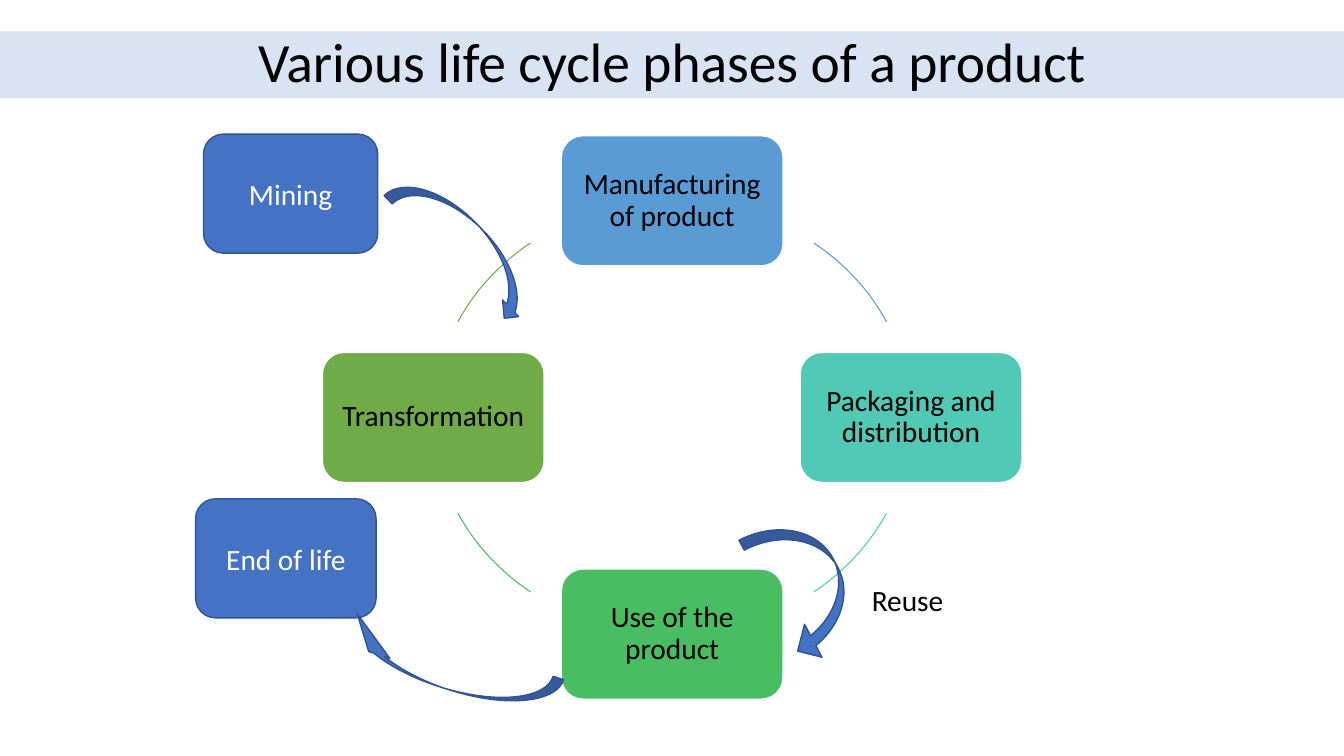
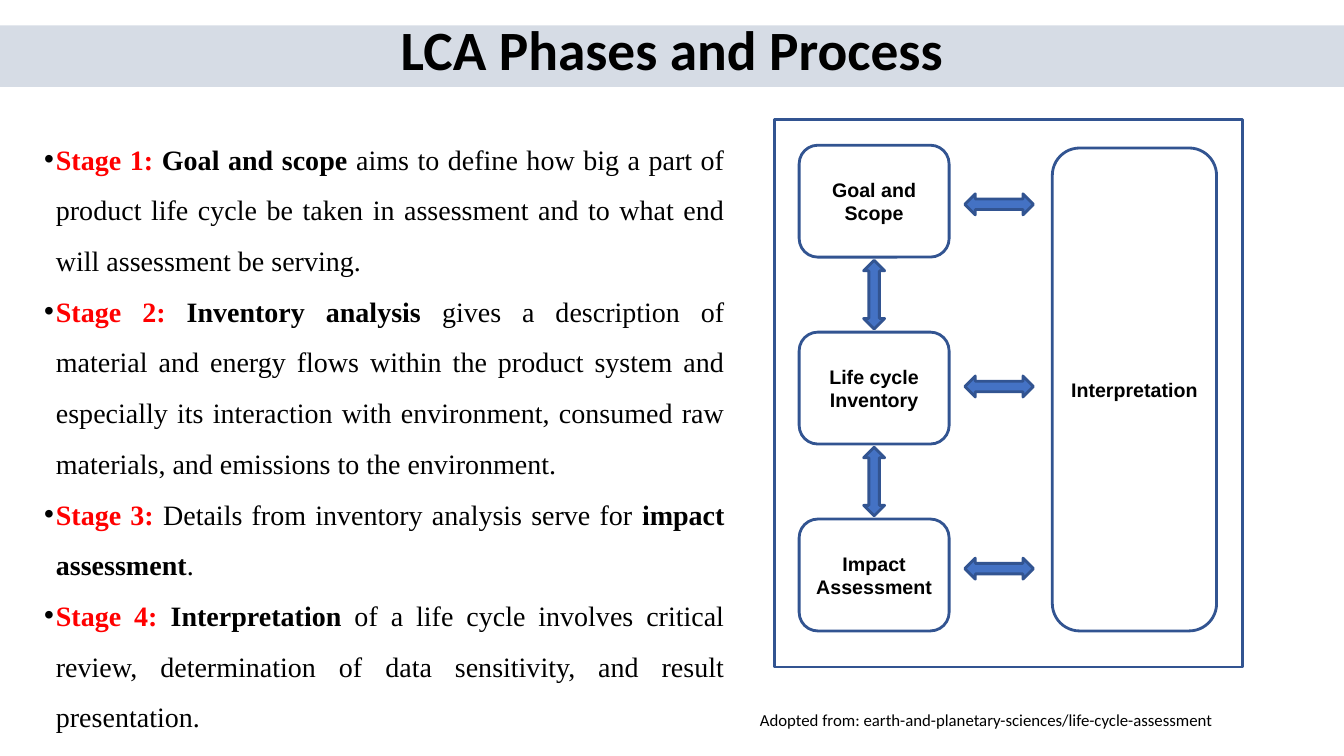
from dataclasses import dataclass
from math import cos, radians, sin
from typing import NamedTuple, Optional

from lxml.etree import SubElement
from pptx import Presentation
from pptx.dml.color import RGBColor
from pptx.enum.shapes import MSO_SHAPE
from pptx.enum.text import MSO_ANCHOR, PP_ALIGN
from pptx.oxml.ns import qn
from pptx.slide import Slide
from pptx.text.text import TextFrame
from pptx.util import Cm, Pt

BLACK = RGBColor(0x00, 0x00, 0x00)
WHITE = RGBColor(0xFF, 0xFF, 0xFF)
RED = RGBColor(0xFF, 0x00, 0x00)
PALE_BLUE = RGBColor(0xDA, 0xE3, 0xF3)
PALE_GRAY = RGBColor(0xD6, 0xDC, 0xE5)
BLUE = RGBColor(0x44, 0x72, 0xC4)
DARK_BLUE = RGBColor(0x31, 0x53, 0x8F)
FRAME_BLUE = RGBColor(0x32, 0x54, 0x91)
SKY = RGBColor(0x59, 0x9B, 0xD5)
TEAL = RGBColor(0x50, 0xC9, 0xB6)
GREEN = RGBColor(0x48, 0xBD, 0x62)
OLIVE = RGBColor(0x6F, 0xAB, 0x46)

SLIDE_WIDTH, SLIDE_HEIGHT = 33.87, 19.05


class TextStyle(NamedTuple):
    font: str
    size: float
    color: RGBColor = BLACK
    bold: bool = False
    spacing: float = 1.0
    inset: float = 0.25
    align: PP_ALIGN = PP_ALIGN.CENTER


TITLE = TextStyle("Calibri", 39.6, spacing=0.9)
BOLD_TITLE = TITLE._replace(bold=True)
PHASE_TEXT = TextStyle("Calibri", 21, spacing=0.9, inset=0.23)
END_TEXT = TextStyle("Calibri", 21, WHITE)
NOTE_TEXT = TextStyle("Calibri", 21, align=PP_ALIGN.LEFT)
SOURCE_TEXT = NOTE_TEXT._replace(size=12)
STEP_TEXT = TextStyle("Arial", 14, bold=True, inset=0.1)
STAGE_TEXT = TextStyle("Times New Roman", 20, spacing=1.51, align=PP_ALIGN.JUSTIFY)


@dataclass
class Block:
    """A preset shape; lengths are in centimetres."""
    preset: MSO_SHAPE
    left: float
    top: float
    width: float
    height: float
    fill: Optional[RGBColor] = None
    line: Optional[RGBColor] = None
    line_width: float = 1
    text: str = ""
    style: TextStyle = TITLE
    rotation: float = 0
    adjustments: tuple[float, ...] = ()


class Phase(NamedTuple):
    """A station of the cycle, with the signs of its offset and of the arc after it."""
    name: str
    color: RGBColor
    offset: tuple[int, int]
    arc: tuple[int, int]


class Stage(NamedTuple):
    label: str
    runs: tuple[tuple[str, bool], ...]


CYCLE_X, CYCLE_Y, RADIUS_X, RADIUS_Y = 16.94, 10.52, 6.02, 5.46
PHASE_WIDTH, PHASE_HEIGHT = 5.59, 3.28
ARC_START, ARC_END, ARC_STEPS = 26.2, 53.6, 24
PHASES = (
    Phase("Manufacturing of product", SKY, (0, -1), (1, -1)),
    Phase("Packaging and distribution", TEAL, (1, 0), (1, 1)),
    Phase("Use of the product", GREEN, (0, 1), (-1, 1)),
    Phase("Transformation", OLIVE, (-1, 0), (-1, -1)),
)
CYCLE_ENDS = (
    Block(MSO_SHAPE.ROUNDED_RECTANGLE, 5.13, 3.38, 4.39, 3.0, BLUE, DARK_BLUE,
          text="Mining", style=END_TEXT),
    Block(MSO_SHAPE.CURVED_DOWN_ARROW, 18.49, 13.84, 3.63, 1.88, BLUE, DARK_BLUE,
          rotation=62.1, adjustments=(0.15, 0.5, 0.25)),
    Block(MSO_SHAPE.CURVED_LEFT_ARROW, 11.13, 3.86, 1.17, 4.62, BLUE, DARK_BLUE,
          rotation=315.6, adjustments=(0.25, 0.5, 0.25)),
    Block(MSO_SHAPE.ROUNDED_RECTANGLE, 4.93, 12.57, 4.55, 3.0, BLUE, DARK_BLUE,
          text="End of life", style=END_TEXT),
    Block(MSO_SHAPE.CURVED_LEFT_ARROW, 10.74, 13.92, 1.12, 5.74, BLUE, DARK_BLUE,
          rotation=107.7, adjustments=(0.25, 0.5, 0.73)),
)

STAGES = (
    Stage("Stage 1: ", (
        ("Goal and scope ", True),
        ("aims to define how big a part of product life cycle be taken in assessment "
         "and to what end will assessment be serving.", False))),
    Stage("Stage 2: ", (
        ("Inventory analysis ", True),
        ("gives a description of material and energy flows within the product system "
         "and especially its interaction with environment, consumed raw materials, "
         "and emissions to the environment.", False))),
    Stage("Stage 3: ", (
        ("Details from inventory analysis serve for ", False),
        ("impact assessment", True),
        (".", False))),
    Stage("Stage 4: ", (
        ("Interpretation", True),
        (" of a life cycle involves critical review, determination of data "
         "sensitivity, and result presentation.", False))),
)

STEPS = ("Goal and Scope", "Life cycle Inventory", "Impact Assessment")
STEP_LEFT, STEP_TOP, STEP_WIDTH, STEP_HEIGHT, STEP_PITCH = 20.14, 3.66, 3.78, 2.82, 4.71
ARROW_LENGTH, ARROW_THICKNESS = 1.73, 0.53
SIDE_ARROW_X, SIDE_ARROW_Y, SIDE_ARROW_PITCH = 25.18, 5.15, 4.59


def set_insets(frame: TextFrame, style: TextStyle, vertical: float) -> None:
    frame.word_wrap = True
    frame.margin_left = frame.margin_right = Cm(style.inset)
    frame.margin_top = frame.margin_bottom = Cm(vertical)


def style_paragraph(paragraph, style: TextStyle) -> None:
    paragraph.alignment = style.align
    paragraph.line_spacing = style.spacing
    font = paragraph.font
    font.name, font.size, font.bold = style.font, Pt(style.size), style.bold
    font.color.rgb = style.color


def paint(shape, fill: Optional[RGBColor], line: Optional[RGBColor], width: float) -> None:
    shape.shadow.inherit = False
    if fill is None:
        shape.fill.background()
    else:
        shape.fill.solid()
        shape.fill.fore_color.rgb = fill
    if line is None:
        shape.line.fill.background()
    else:
        shape.line.color.rgb = line
        shape.line.width = Pt(width)


def draw_block(slide: Slide, block: Block):
    shape = slide.shapes.add_shape(block.preset, Cm(block.left), Cm(block.top),
                                   Cm(block.width), Cm(block.height))
    paint(shape, block.fill, block.line, block.line_width)
    shape.rotation = block.rotation
    for index, value in enumerate(block.adjustments):
        shape.adjustments[index] = value
    if block.text:
        frame = shape.text_frame
        set_insets(frame, block.style, 0.13)
        frame.vertical_anchor = MSO_ANCHOR.MIDDLE
        frame.text = block.text
        style_paragraph(frame.paragraphs[0], block.style)
    return shape


def add_text_frame(slide: Slide, left: float, top: float, width: float, height: float,
                   style: TextStyle) -> TextFrame:
    box = slide.shapes.add_textbox(Cm(left), Cm(top), Cm(width), Cm(height))
    set_insets(box.text_frame, style, 0.13)
    return box.text_frame


def add_note(slide: Slide, text: str, left: float, top: float, width: float,
             height: float, style: TextStyle) -> None:
    frame = add_text_frame(slide, left, top, width, height, style)
    frame.text = text
    style_paragraph(frame.paragraphs[0], style)


def add_titled_slide(deck, title: str, top: float, height: float, fill: RGBColor,
                     style: TextStyle, lift: float = 0) -> Slide:
    """Add a slide with a title band; lift raises the title within the band."""
    slide = deck.slides.add_slide(deck.slide_layouts[6])
    band = draw_block(slide, Block(MSO_SHAPE.RECTANGLE, 0, top, SLIDE_WIDTH, height, fill,
                                   text=title, style=style))
    band.text_frame.margin_top = 0
    band.text_frame.margin_bottom = Cm(2 * lift)
    return slide


def draw_arc(slide: Slide, phase: Phase) -> None:
    sign_x, sign_y = phase.arc
    angles = [radians(ARC_START + (ARC_END - ARC_START) * step / ARC_STEPS)
              for step in range(ARC_STEPS + 1)]
    points = [(Cm(CYCLE_X + sign_x * RADIUS_X * cos(angle)),
               Cm(CYCLE_Y + sign_y * RADIUS_Y * sin(angle))) for angle in angles]
    builder = slide.shapes.build_freeform(*points[0])
    builder.add_line_segments(points[1:], close=False)
    paint(builder.convert_to_shape(), None, phase.color, 0.75)


def draw_cycle(slide: Slide) -> None:
    for phase in PHASES:
        center_x = CYCLE_X + phase.offset[0] * RADIUS_X
        center_y = CYCLE_Y + phase.offset[1] * RADIUS_Y
        draw_block(slide, Block(
            MSO_SHAPE.ROUNDED_RECTANGLE, center_x - PHASE_WIDTH / 2,
            center_y - PHASE_HEIGHT / 2, PHASE_WIDTH, PHASE_HEIGHT, phase.color, WHITE,
            text=phase.name, style=PHASE_TEXT))
        draw_arc(slide, phase)


def add_bullet(paragraph) -> None:
    properties = paragraph._p.get_or_add_pPr()
    properties.set("marL", str(Cm(0.3)))
    properties.set("indent", str(-Cm(0.36)))
    color = SubElement(properties, qn("a:buClr"))
    SubElement(color, qn("a:srgbClr"), val=str(BLACK))
    SubElement(properties, qn("a:buFont"), typeface="Arial")
    SubElement(properties, qn("a:buChar"), char="•")


def write_stages(slide: Slide) -> None:
    frame = add_text_frame(slide, 0.86, 3.02, 17.65, 15.65, STAGE_TEXT)
    for index, stage in enumerate(STAGES):
        paragraph = frame.add_paragraph() if index else frame.paragraphs[0]
        add_bullet(paragraph)
        style_paragraph(paragraph, STAGE_TEXT)
        label = paragraph.add_run()
        label.text = stage.label
        label.font.bold = True
        label.font.color.rgb = RED
        for text, bold in stage.runs:
            run = paragraph.add_run()
            run.text = text
            run.font.bold = bold


def draw_double_arrow(slide: Slide, preset: MSO_SHAPE, center_x: float, center_y: float,
                      width: float, height: float) -> None:
    draw_block(slide, Block(preset, center_x - width / 2, center_y - height / 2,
                            width, height, BLUE, FRAME_BLUE, 2))


def draw_process(slide: Slide) -> None:
    def outline(preset: MSO_SHAPE, left: float, top: float, width: float, height: float,
                text: str = "") -> None:
        draw_block(slide, Block(preset, left, top, width, height, None, FRAME_BLUE, 2,
                                text, STEP_TEXT))

    outline(MSO_SHAPE.ROUNDED_RECTANGLE, 26.52, 3.73, 4.14, 12.17, "Interpretation")
    for index, step in enumerate(STEPS):
        top = STEP_TOP + index * STEP_PITCH
        outline(MSO_SHAPE.ROUNDED_RECTANGLE, STEP_LEFT, top, STEP_WIDTH, STEP_HEIGHT, step)
        draw_double_arrow(slide, MSO_SHAPE.LEFT_RIGHT_ARROW, SIDE_ARROW_X,
                          SIDE_ARROW_Y + index * SIDE_ARROW_PITCH,
                          ARROW_LENGTH, ARROW_THICKNESS)
        if index:
            gap_center = top - (STEP_PITCH - STEP_HEIGHT) / 2
            draw_double_arrow(slide, MSO_SHAPE.UP_DOWN_ARROW, STEP_LEFT + STEP_WIDTH / 2,
                              gap_center, ARROW_THICKNESS, ARROW_LENGTH)
    outline(MSO_SHAPE.RECTANGLE, 19.51, 3.02, 11.81, 13.79)


def main() -> None:
    deck = Presentation()
    deck.slide_width, deck.slide_height = Cm(SLIDE_WIDTH), Cm(SLIDE_HEIGHT)

    cycle = add_titled_slide(deck, "Various life cycle phases of a product",
                             0.79, 1.68, PALE_BLUE, TITLE)
    draw_cycle(cycle)
    add_note(cycle, "Reuse", 21.72, 14.55, 2.39, 1.14, NOTE_TEXT)
    for block in CYCLE_ENDS:
        draw_block(cycle, block)

    process = add_titled_slide(deck, "LCA Phases and Process",
                               0.64, 1.55, PALE_GRAY, BOLD_TITLE, lift=0.1)
    write_stages(process)
    add_note(process, "Adopted from: earth-and-planetary-sciences/life-cycle-assessment",
             18.9, 17.75, 14.9, 0.76, SOURCE_TEXT)
    draw_process(process)
    deck.save("out.pptx")


if __name__ == "__main__":
    main()
